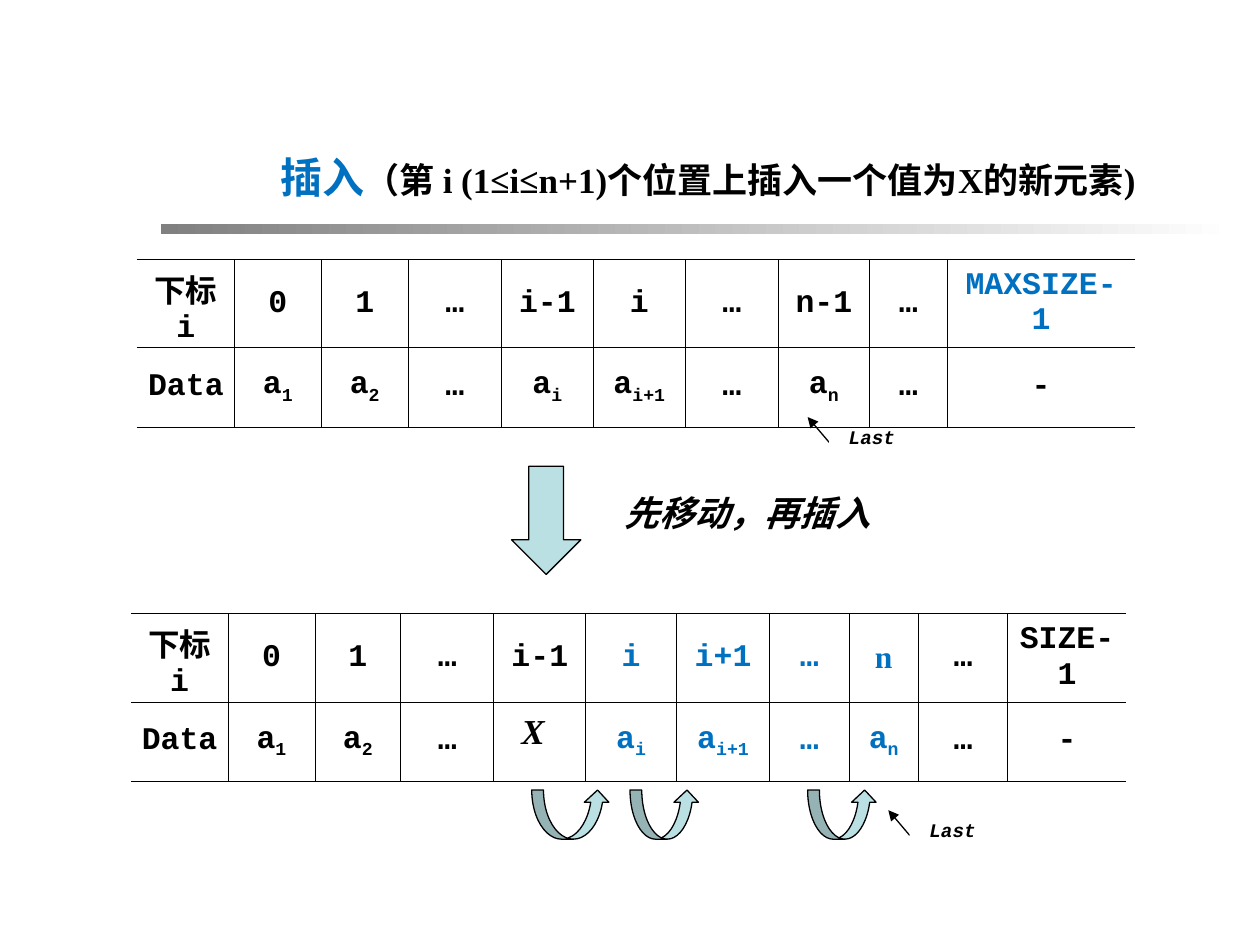
from pptx import Presentation
from pptx.dml.color import RGBColor
from pptx.enum.shapes import MSO_CONNECTOR, MSO_SHAPE
from pptx.enum.text import MSO_ANCHOR, PP_ALIGN
from pptx.oxml import parse_xml
from pptx.oxml.ns import nsdecls, qn
from pptx.util import Inches, Pt
from lxml.etree import SubElement

BLACK, BLUE, TEAL = "000000", "0070C0", "BBE0E3"
SERIF, MONO = "Times New Roman", "Courier New"


def color(value):
    return RGBColor.from_string(value)


def style(run, size, font, ink=BLACK, italic=False):
    run.font.size = Pt(size)
    run.font.name = font
    run.font.bold = True
    run.font.italic = italic
    run.font.color.rgb = color(ink)


def add_label(slide, box, parts, font=SERIF, italic=False, wrap=True):
    label = slide.shapes.add_textbox(*map(Inches, box))
    label.text_frame.word_wrap = wrap
    paragraph = label.text_frame.paragraphs[0]
    for text, size, ink in parts:
        run = paragraph.add_run()
        run.text = text
        style(run, size, font, ink, italic)
    return label


def add_shape(slide, kind, box):
    shape = slide.shapes.add_shape(kind, *map(Inches, box))
    shape.shadow.inherit = False
    return shape


def add_title_rule(slide):
    rule = add_shape(slide, MSO_SHAPE.RECTANGLE, (1.28, 1.78, 8.53, 0.08))
    rule.line.fill.background()
    rule.fill.gradient()
    rule.fill.gradient_angle = 0
    for stop, shade in zip(rule.fill.gradient_stops, ("808080", "FFFFFF")):
        stop.color.rgb = color(shade)


def add_arrow(slide, kind, box, adjustments=()):
    arrow = add_shape(slide, kind, box)
    arrow.fill.solid()
    arrow.fill.fore_color.rgb = color(TEAL)
    arrow.line.color.rgb = color(BLACK)
    arrow.line.width = Pt(0.75)
    for index, value in enumerate(adjustments):
        arrow.adjustments[index] = value


def set_borders(cell, hidden):
    properties = cell._tc.get_or_add_tcPr()
    for position, side in enumerate("LRTB"):
        paint = "<a:noFill/>" if side == hidden else (
            f'<a:solidFill><a:srgbClr val="{BLACK}"/></a:solidFill>')
        width = Pt(0.45)
        border = f'<a:ln{side} {nsdecls("a")} w="{width}">{paint}</a:ln{side}>'
        properties.insert(position, parse_xml(border))


def fill_cell(cell, text, ink, font):
    cell.fill.background()
    cell.vertical_anchor = MSO_ANCHOR.MIDDLE
    cell.margin_left = cell.margin_right = Inches(0.08)
    cell.margin_top = cell.margin_bottom = Inches(0.05)
    paragraph = cell.text_frame.paragraphs[0]
    paragraph.alignment = PP_ALIGN.CENTER
    base, _, subscript = text.partition("_")
    for part in filter(None, (base, subscript)):
        run = paragraph.add_run()
        run.text = part
        style(run, 18, font, ink)
    if subscript:
        run.font._element.set("baseline", "-25000")


def add_array(slide, left, top, widths, rows, blue_cells, serif_cells=()):
    frame = slide.shapes.add_table(len(rows), len(widths), Inches(left), Inches(top),
                                   Inches(sum(widths)), Inches(1.27))
    table = frame.table
    table.first_row = table.horz_banding = False
    for column, width in zip(table.columns, widths):
        column.width = Inches(width)
    last = len(widths) - 1
    for r, texts in enumerate(rows):
        table.rows[r].height = Inches(0.63)
        for c, text in enumerate(texts):
            cell = table.cell(r, c)
            fill_cell(cell, text, BLUE if (r, c) in blue_cells else BLACK,
                      SERIF if (r, c) in serif_cells else MONO)
            set_borders(cell, {0: "L", last: "R"}.get(c))


def add_last_pointer(slide, left, top):
    pointer = slide.shapes.add_connector(
        MSO_CONNECTOR.STRAIGHT, Inches(left + 0.17), Inches(top + 0.2),
        Inches(left), Inches(top))
    pointer.line.color.rgb = color(BLACK)
    pointer.line.width = Pt(0.75)
    SubElement(pointer.line._get_or_add_ln(), qn("a:tailEnd"), type="triangle")
    SubElement(pointer._element.spPr, qn("a:effectLst"))
    label = add_label(slide, (left + 0.17, top + 0.1, 0.68, 0.21),
                      [("Last", 11, BLACK)], MONO, italic=True)
    label.fill.solid()
    label.fill.fore_color.rgb = color("FFFFFF")
    text = label.text_frame
    text.margin_left = text.margin_right = text.margin_top = text.margin_bottom = 0
    text.paragraphs[0].alignment = PP_ALIGN.CENTER
    text.paragraphs[0].line_spacing = 0.8


def main():
    deck = Presentation()
    deck.slide_width, deck.slide_height = Inches(10), Inches(7.5)
    slide = deck.slides.add_slide(deck.slide_layouts[6])

    add_title_rule(slide)
    add_label(slide, (2.13, 1.15, 7.6, 0.5), [
        ("插入", 24, BLUE),
        ("（第 i (1≤i≤n+1)个位置上插入一个值为X的新元素)", 20, BLACK)])

    add_array(slide, 1.09, 2.06,
              [0.77, 0.69, 0.69, 0.74, 0.73, 0.73, 0.74, 0.72, 0.62, 1.49],
              [["下标i", "0", "1", "…", "i-1", "i", "…", "n-1", "…", "MAXSIZE-1"],
               ["Data", "a_1", "a_2", "…", "a_i", "a_i+1", "…", "a_n", "…", "-"]],
              {(0, 9)})
    add_last_pointer(slide, 6.41, 3.31)

    add_arrow(slide, MSO_SHAPE.DOWN_ARROW, (4.06, 3.7, 0.55, 0.86))
    add_label(slide, (4.86, 3.85, 2.15, 0.44), [("先移动，再插入", 20, BLACK)],
              italic=True, wrap=False)

    shifted = {(row, column) for row in range(2) for column in range(5, 9)}
    add_array(slide, 1.04, 4.87,
              [0.77, 0.69, 0.68, 0.74, 0.73, 0.72, 0.74, 0.63, 0.55, 0.71, 0.94],
              [["下标i", "0", "1", "…", "i-1", "i", "i+1", "…", "n", "…", "SIZE-1"],
               ["Data", "a_1", "a_2", "…", "", "a_i", "a_i+1", "…", "a_n", "…", "-"]],
              shifted, {(0, 8)})
    add_last_pointer(slide, 7.05, 6.43)
    add_label(slide, (4.04, 5.58, 0.4, 0.44), [("X", 20, BLACK)], italic=True)

    for left, width in ((6.41, 0.55), (5, 0.55), (4.22, 0.62)):
        add_arrow(slide, MSO_SHAPE.CURVED_UP_ARROW, (left, 6.27, width, 0.39),
                  (0.24, 0.5, 0.25))

    deck.save("out.pptx")


if __name__ == "__main__":
    main()
